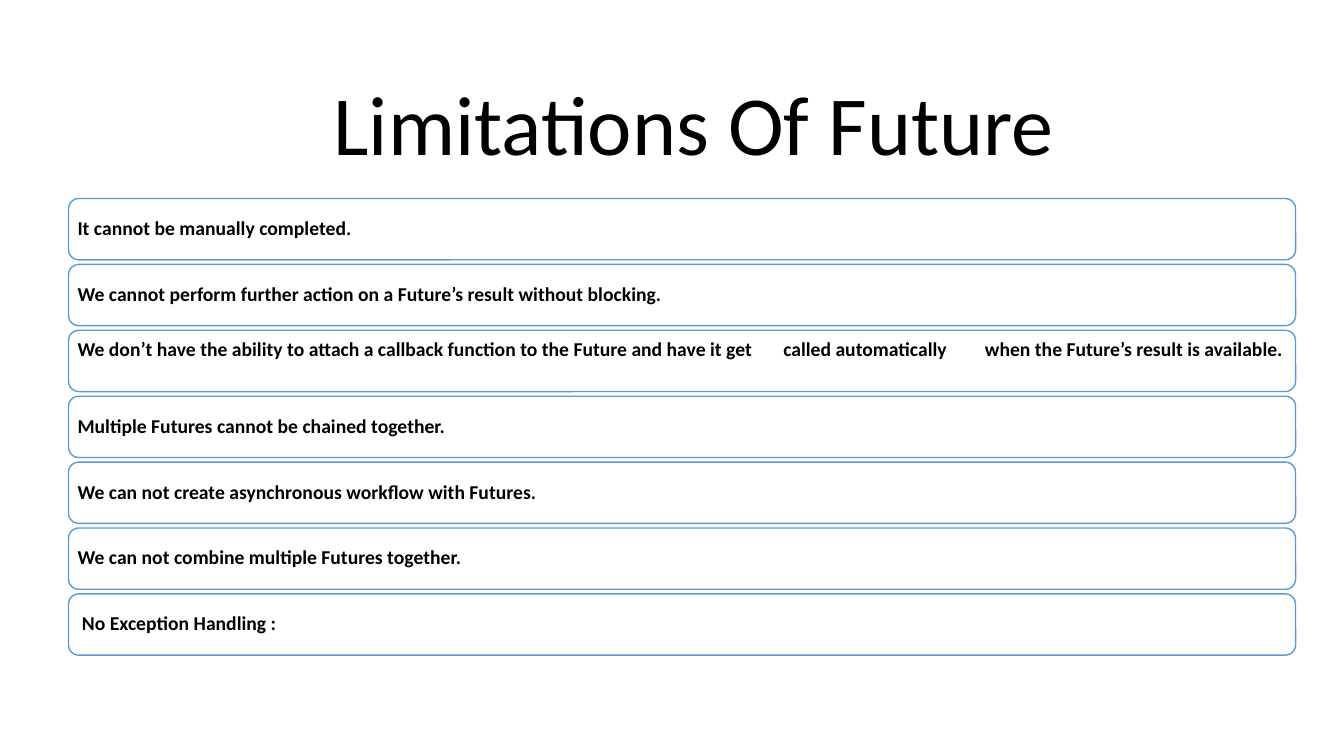
from pptx import Presentation
from pptx.dml.color import RGBColor
from pptx.enum.shapes import MSO_SHAPE
from pptx.enum.text import MSO_ANCHOR, PP_ALIGN
from pptx.util import Inches, Pt

COLORS = {"text": "000000", "fill": "FFFFFF", "border": "5B9BD5"}
FONT = "Calibri"
INSET = 0.06
LINE_HEIGHT = 0.21  # one line of limitation text, in inches
GAP_SHARE = 0.07  # part of each row's pitch left empty

LIMITATIONS = [
    "It cannot be manually completed.",
    "We cannot perform further action on a Future’s result without blocking.",
    "We don’t have the ability to attach a callback function to the Future "
    "and have it get \tcalled automatically \twhen the Future’s result is available.",
    "Multiple Futures cannot be chained together.",
    "We can not create asynchronous workflow with Futures.",
    "We can not combine multiple Futures together.",
    " No Exception Handling :",
]
RAISED_ROW = 2  # its text sits one line above the bottom inset


def color(name):
    return RGBColor.from_string(COLORS[name])


def write(frame, text, size, align, bold=False):
    frame.word_wrap = True
    paragraph = frame.paragraphs[0]
    paragraph.text = text
    paragraph.alignment = align
    paragraph.line_spacing = 0.9
    paragraph.font.name = FONT
    paragraph.font.size = Pt(size)
    paragraph.font.bold = bold
    paragraph.font.color.rgb = color("text")


def add_title(slide, text, left, top, width, height):
    title = slide.shapes.add_textbox(*map(Inches, (left, top, width, height)))
    title.text_frame.vertical_anchor = MSO_ANCHOR.BOTTOM
    write(title.text_frame, text, 60, PP_ALIGN.CENTER)


def add_limitations(slide, limitations, left, top, width, height):
    # The last row has no gap below it
    pitch = height / (len(limitations) - GAP_SHARE)
    row_height = pitch * (1 - GAP_SHARE)
    for index, text in enumerate(limitations):
        row = slide.shapes.add_shape(
            MSO_SHAPE.ROUNDED_RECTANGLE,
            *map(Inches, (left, top + index * pitch, width, row_height)))
        row.shadow.inherit = False
        row.fill.solid()
        row.fill.fore_color.rgb = color("fill")
        row.line.color.rgb = color("border")
        row.line.width = Pt(1)

        frame = row.text_frame
        frame.vertical_anchor = MSO_ANCHOR.MIDDLE
        frame.margin_left = frame.margin_right = frame.margin_top = Inches(INSET)
        frame.margin_bottom = Inches(INSET + LINE_HEIGHT * (index == RAISED_ROW))
        write(frame, text, 14, PP_ALIGN.LEFT, bold=True)


def main():
    deck = Presentation()
    deck.slide_width = Inches(13.33)
    deck.slide_height = Inches(7.5)
    slide = deck.slides.add_slide(deck.slide_layouts[6])

    # Heading above the stack of limitations
    add_title(slide, "Limitations Of Future", 1.88, 0.47, 10, 1.3)
    add_limitations(slide, LIMITATIONS, 0.68, 1.97, 12.17, 4.53)

    deck.save("out.pptx")


if __name__ == "__main__":
    main()
